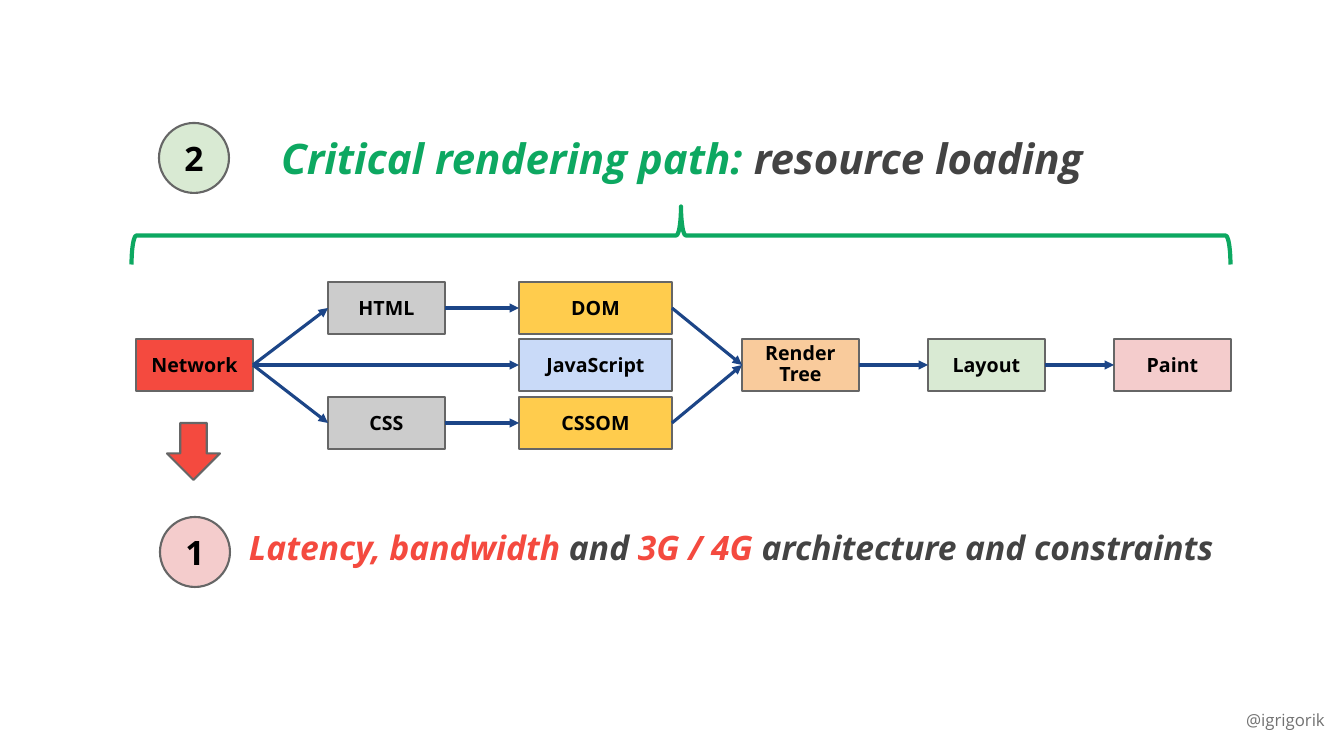
from pptx import Presentation
from pptx.dml.color import RGBColor
from pptx.enum.shapes import MSO_CONNECTOR, MSO_SHAPE
from pptx.enum.text import MSO_ANCHOR, PP_ALIGN
from pptx.oxml.ns import qn
from pptx.util import Emu, Pt
from lxml.etree import SubElement

HUES = {
    "ink": "000000", "dark": "434343", "edge": "666666", "foot": "727272",
    "red": "F44A3F", "green": "0DA861", "navy": "1C4587", "grey": "CCCCCC",
    "gold": "FFCC4D", "blue": "C9DAF8", "peach": "F9CB9C", "mint": "D9EAD3",
    "pink": "F4CCCC",
}


def px(num):
    return Emu(round(num * 914400 / 100.8))


def tint(name):
    return RGBColor.from_string(HUES[name])


class Deck:
    font = "Open Sans"

    def __init__(self):
        self.show = Presentation()
        self.show.slide_width, self.show.slide_height = px(1344), px(756)
        self.slide = self.show.slides.add_slide(self.show.slide_layouts[6])

    def words(self, item, parts, size, align, bold=True, slant=False):
        frame = item.text_frame
        frame.word_wrap = True
        frame.margin_left = frame.margin_right = px(10)
        frame.margin_top = frame.margin_bottom = px(10)
        para = frame.paragraphs[0]
        para.alignment = align
        for text, hue in parts:
            run = para.add_run()
            run.text = text
            run.font.name, run.font.size = self.font, Pt(size)
            run.font.bold, run.font.italic = bold, slant
            run.font.color.rgb = tint(hue)

    def shape(self, kind, spot, fill=None, edge="edge", width=1.5):
        item = self.slide.shapes.add_shape(kind, *map(px, spot))
        item.shadow.inherit = False
        if fill:
            item.fill.solid()
            item.fill.fore_color.rgb = tint(fill)
        else:
            item.fill.background()
        item.line.color.rgb = tint(edge)
        item.line.width = Pt(width)
        return item

    def label(self, kind, spot, text, fill, size):
        item = self.shape(kind, spot, fill)
        item.text_frame.vertical_anchor = MSO_ANCHOR.MIDDLE
        self.words(item, [(text, "ink")], size, PP_ALIGN.CENTER)
        return item

    def text(self, spot, parts, size, align, bold=True, slant=True):
        item = self.slide.shapes.add_textbox(*map(px, spot))
        self.words(item, parts, size, align, bold, slant)

    def arrow(self, start, end):
        item = self.slide.shapes.add_connector(MSO_CONNECTOR.STRAIGHT, 0, 0, 0, 0)
        item.begin_connect(start, 3)
        item.end_connect(end, 1)
        item.line.color.rgb = tint("navy")
        item.line.width = Pt(2.25)
        edge = item._element.spPr.find(qn("a:ln"))
        SubElement(edge, qn("a:tailEnd"), type="triangle")
        SubElement(item._element.spPr, qn("a:effectLst"))


def main():
    deck = Deck()

    # Pipeline stages: name, left, row, width, fill
    stages = [
        ("HTML", 328, 0, 117, "grey"), ("CSS", 328, 2, 117, "grey"),
        ("DOM", 519, 0, 153, "gold"), ("CSSOM", 519, 2, 153, "gold"),
        ("JavaScript", 519, 1, 153, "blue"),
        ("Render Tree", 742, 1, 117, "peach"),
        ("Layout", 928, 1, 117, "mint"), ("Paint", 1114, 1, 117, "pink"),
        ("Network", 136, 1, 117, "red"),
    ]
    boxes = {}
    for name, left, row, width, fill in stages:
        spot = (left, 282 + row * 115 // 2, width, 52)
        boxes[name] = deck.label(MSO_SHAPE.RECTANGLE, spot, name, fill, 14)
    boxes["Render Tree"].text_frame.paragraphs[0].line_spacing = 0.9

    # Flow between stages
    flows = [
        ("Network", "HTML"), ("Network", "CSS"), ("HTML", "DOM"),
        ("CSS", "CSSOM"), ("Network", "JavaScript"), ("DOM", "Render Tree"),
        ("CSSOM", "Render Tree"), ("Render Tree", "Layout"), ("Layout", "Paint"),
    ]
    for start, end in flows:
        deck.arrow(boxes[start], boxes[end])

    # Brace over the whole path, with its heading
    brace = deck.shape(MSO_SHAPE.RIGHT_BRACE, (652, -314, 58, 1099),
                       edge="green", width=3)
    brace.rotation = 270
    brace.adjustments[0] = 0.083
    deck.text((197, 123, 970, 66),
              [("Critical rendering path: ", "green"), ("resource loading", "dark")],
              30, PP_ALIGN.CENTER)

    # Numbered badges
    for num, left, top, fill in [("2", 159, 123, "mint"), ("1", 160, 517, "pink")]:
        deck.label(MSO_SHAPE.OVAL, (left, top, 70, 70), num, fill, 24)

    # Network topic
    deck.text((239, 517, 1014, 88),
              [("Latency, bandwidth ", "red"), ("and", "dark"),
               (" 3G / 4G", "red"), (" architecture and constraints", "dark")],
              24, PP_ALIGN.LEFT)
    deck.shape(MSO_SHAPE.DOWN_ARROW, (167, 423, 53, 57), "red")

    # Author handle
    deck.text((1046, 700, 289, 51), [("@igrigorik", "foot")], 12,
              PP_ALIGN.RIGHT, bold=False, slant=False)

    deck.show.save("out.pptx")


if __name__ == "__main__":
    main()
